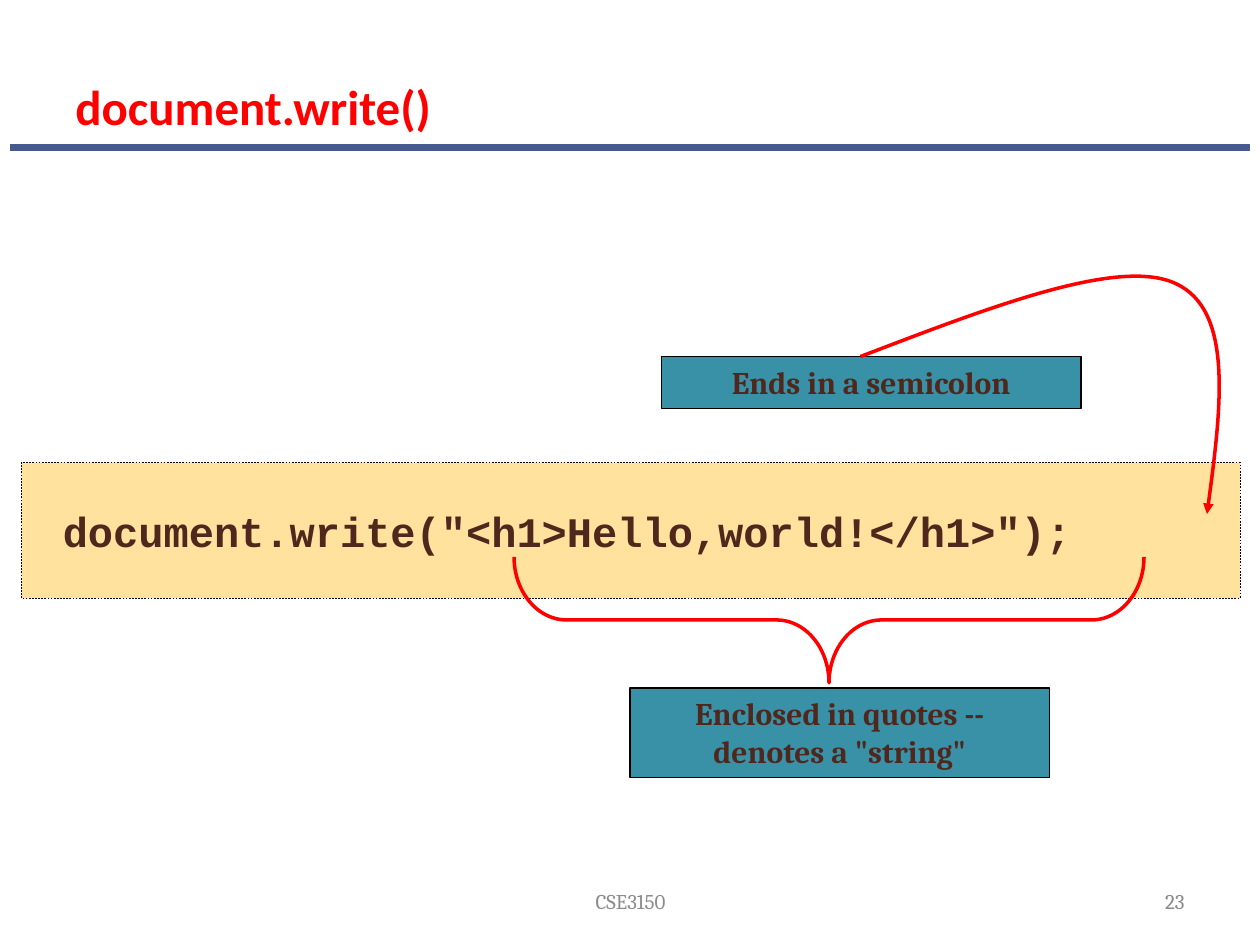
from lxml.etree import SubElement
from pptx import Presentation
from pptx.dml.color import RGBColor
from pptx.enum.dml import MSO_LINE
from pptx.enum.shapes import MSO_CONNECTOR, MSO_SHAPE
from pptx.enum.text import MSO_ANCHOR as ANCHOR, MSO_AUTO_SIZE, PP_ALIGN as ALIGN
from pptx.oxml.ns import qn
from pptx.util import Inches, Pt

RED, BROWN, TEAL, BLACK = "FF0000", "4F271C", "3891A7", "000000"


def color(value):
    return RGBColor.from_string(value)


def write(sp, text, font, size, value, bold=False, align=ALIGN.LEFT, anchor=ANCHOR.MIDDLE):
    tf = sp.text_frame
    tf.word_wrap = True
    tf.vertical_anchor = anchor
    p = tf.paragraphs[0]
    p.text = text
    p.alignment = align
    r = p.runs[0]
    r.font.name, r.font.size, r.font.bold = font, Pt(size), bold
    r.font.color.rgb = color(value)


prs = Presentation()
prs.slide_width, prs.slide_height = Inches(10), Inches(7.5)
s = prs.slides.add_slide(prs.slide_layouts[6])

# Title and rule
rule = s.shapes.add_connector(
    MSO_CONNECTOR.STRAIGHT, Inches(0.08), Inches(1.17), Inches(9.92), Inches(1.17))
rule.line.color.rgb = color("475A8D")
rule.line.width = Pt(4)
SubElement(rule._element.spPr, qn("a:effectLst"))

title = s.shapes.add_textbox(Inches(0.5), Inches(0.34), Inches(9), Inches(0.78))
write(title, "document.write()", "Calibri", 28, RED, True, anchor=ANCHOR.BOTTOM)

# Code line
code = s.shapes.add_shape(
    MSO_SHAPE.RECTANGLE, Inches(0.17), Inches(3.67), Inches(9.67), Inches(1.08))
code.shadow.inherit = False
code.fill.solid()
code.fill.fore_color.rgb = color("FEB80A")
SubElement(code._element.spPr.find(f".//{qn('a:srgbClr')}"), qn("a:alpha"), val="40000")
code.line.color.rgb = color(BLACK)
code.line.width = Pt(0.25)
code.line.dash_style = MSO_LINE.DASH
write(code, 'document.write("<h1>Hello,world!</h1>");', "Courier New", 24, BROWN, True)
code.text_frame.paragraphs[0]._p.get_or_add_pPr().set("marL", str(Inches(0.23)))

# Brace under the quoted string
brace = s.shapes.add_shape(
    MSO_SHAPE.LEFT_BRACE, Inches(6.08), Inches(2.42), Inches(1), Inches(5))
brace.rotation = 270
brace.adjustments[0] = 0.417
brace.adjustments[1] = 0.5

# Explanations
for text, left, top, height in [
    ('Enclosed in quotes -- denotes a "string"', 5, 5.46, 0.71),
    ("Ends in a semicolon", 5.25, 2.83, 0.41),
]:
    note = s.shapes.add_shape(
        MSO_SHAPE.RECTANGLE, Inches(left), Inches(top), Inches(3.33), Inches(height))
    note.shadow.inherit = False
    note.fill.solid()
    note.fill.fore_color.rgb = color(TEAL)
    note.line.color.rgb = color(BLACK)
    note.line.width = Pt(0.75)
    write(note, text, "Cambria", 18, BROWN, True, ALIGN.CENTER, ANCHOR.TOP)
    note.text_frame.auto_size = MSO_AUTO_SIZE.SHAPE_TO_FIT_TEXT

# Curved arrow to the semicolon: a start, then three Bezier points per curve
start, *bends = [(Inches(x), Inches(y)) for x, y in [
    (6.83, 2.83),
    (7.85, 2.44), (8.88, 2.04), (9.33, 2.25),
    (9.79, 2.46), (9.69, 3.27), (9.58, 4.08),
]]
builder = s.shapes.build_freeform(*start)
builder.add_line_segments(bends, close=False)
arrow = builder.convert_to_shape()
segments = list(arrow._element.iter(qn("a:lnTo")))
for i in range(0, len(segments), 3):
    first, *others = segments[i:i + 3]
    first.tag = qn("a:cubicBezTo")
    for segment in others:
        first.append(segment[0])
        segment.getparent().remove(segment)

for sp in (brace, arrow):
    sp.shadow.inherit = False
    sp.fill.background()
    sp.line.color.rgb = color(RED)
    sp.line.width = Pt(2)
SubElement(arrow.line._get_or_add_ln(), qn("a:tailEnd"), type="triangle")

# Footer
for text, left, width, value, align in [
    ("CSE3150", 3.42, 3.17, "8C8C8C", ALIGN.CENTER),
    ("23", 7.17, 2.33, "898989", ALIGN.RIGHT),
]:
    footer = s.shapes.add_textbox(Inches(left), Inches(6.95), Inches(width), Inches(0.4))
    write(footer, text, "Cambria", 12, value, align=align)

prs.save("out.pptx")
